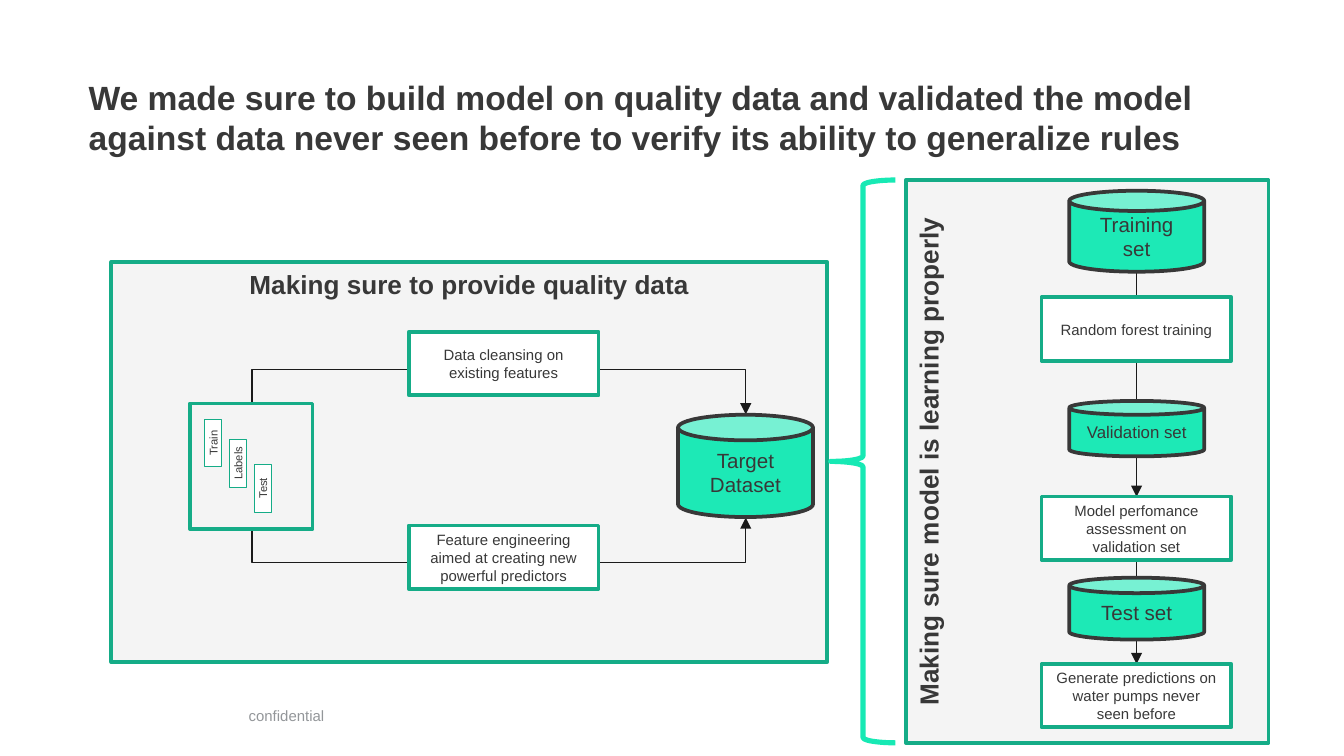
"""Build a slide on data quality and model validation for the water pump model."""
from lxml import etree
from pptx import Presentation
from pptx.dml.color import RGBColor
from pptx.enum.shapes import MSO_CONNECTOR as CONN, MSO_SHAPE as SHAPE
from pptx.enum.text import MSO_ANCHOR as ANCHOR, MSO_AUTO_SIZE as AUTO, PP_ALIGN as ALIGN
from pptx.oxml.ns import qn
from pptx.util import Pt

DARK = RGBColor(0x38, 0x38, 0x38)
GREEN = RGBColor(0x15, 0xAC, 0x87)
MINT = RGBColor(0x1D, 0xE9, 0xB6)
BRACE = RGBColor(0x17, 0xE9, 0xB4)
PANEL = RGBColor(0xF4, 0xF4, 0xF4)
WHITE = RGBColor(0xFF, 0xFF, 0xFF)
INK = RGBColor(0x1A, 0x1A, 0x1A)
GREY = RGBColor(0x93, 0x96, 0x99)


def add_box(kind, x, y, w, h, text="", size=8, fill=WHITE, line=GREEN, weight=2):
    sp = s.shapes.add_shape(kind, Pt(x), Pt(y), Pt(w), Pt(h))
    sp.shadow.inherit = False
    if fill is None:
        sp.fill.background()
    else:
        sp.fill.solid()
        sp.fill.fore_color.rgb = fill
    sp.line.color.rgb = line
    sp.line.width = Pt(weight)
    tf = sp.text_frame
    tf.text = text
    tf.word_wrap = True
    tf.vertical_anchor = ANCHOR.MIDDLE
    for p in tf.paragraphs:
        p.alignment = ALIGN.CENTER
        for r in p.runs:
            r.font.size, r.font.name, r.font.color.rgb = Pt(size), "Arial", DARK
    return sp


def add_arrow(kind, x1, y1, x2, y2):
    cx = s.shapes.add_connector(kind, Pt(x1), Pt(y1), Pt(x2), Pt(y2))
    cx.line.color.rgb = INK
    cx.line.width = Pt(0.75)
    etree.SubElement(cx.line._get_or_add_ln(), qn("a:tailEnd"), type="triangle")
    etree.SubElement(cx._element.spPr, qn("a:effectLst"))
    return cx


prs = Presentation()
prs.slide_width, prs.slide_height = Pt(720), Pt(405)
s = prs.slides.add_slide(prs.slide_layouts[5])

title = s.shapes.title
title.left, title.top, title.width, title.height = Pt(47.5), Pt(41.5), Pt(625), Pt(28)
title.text_frame.text = (
    "We made sure to build model on quality data and validated the model "
    "against data never seen before to verify its ability to generalize rules"
)
footer = s.shapes.add_textbox(Pt(133.2), Pt(378.7), Pt(141), Pt(17.3))
footer.text_frame.text = "confidential"
for sp, size, color, bold in ((title, 18, DARK, True), (footer, 8, GREY, False)):
    tf = sp.text_frame
    tf.word_wrap = True
    tf.auto_size = AUTO.NONE
    tf.vertical_anchor = ANCHOR.TOP
    tf.margin_left = tf.margin_right = tf.margin_top = tf.margin_bottom = 0
    p = tf.paragraphs[0]
    p.alignment = ALIGN.LEFT
    f = p.runs[0].font
    f.size, f.name, f.bold, f.color.rgb = Pt(size), "Arial", bold, color
title.text_frame.paragraphs[0].line_spacing = Pt(21.5)

learning = add_box(SHAPE.RECTANGLE, 485.3, 96.5, 194.3, 301.5,
                   "Making sure model is learning properly", 14, PANEL)
quality = add_box(SHAPE.RECTANGLE, 59.6, 140.4, 383.6, 214.3,
                  "Making sure to provide quality data", 14, PANEL)
for sp in (learning, quality):
    sp.text_frame.vertical_anchor = ANCHOR.TOP
    sp.text_frame.paragraphs[0].runs[0].font.bold = True
learning.text_frame._txBody.bodyPr.set("vert", "vert270")
add_box(SHAPE.LEFT_BRACE, 445, 96.5, 34.6, 301.5, fill=None, line=BRACE, weight=2.75)

for y1, y2 in ((146.2, 266.2), (300.2, 355.7)):
    add_arrow(CONN.STRAIGHT, 608.9, y1, 608.9, y2)

for x1, y1, x2, y2, rot in ((270.2, 86.7, 264.2, 351.3, 270),
                            (270.2, 412.6, 264.2, 148, 90)):
    cx = add_arrow(CONN.ELBOW, x1, y1, x2, y2)
    cx._element.spPr.find(qn("a:xfrm")).set("rot", str(rot * 60000))
    av = cx._element.spPr.find(qn("a:prstGeom")).get_or_add_avLst()
    etree.SubElement(av, qn("a:gd"), name="adj1", fmla="val -300000")

for x, y, text in (
    (558, 159.3, "Random forest training"),
    (558, 266, "Model perfomance assessment on validation set"),
    (558, 355.7, "Generate predictions on water pumps never seen before"),
    (219, 177.8, "Data cleansing on existing features"),
    (219, 281.5, "Feature engineering aimed at creating new powerful predictors"),
):
    add_box(SHAPE.RECTANGLE, x, y, 101.7, 34, text)

for x, y, h, text, size in (
    (572.8, 102.2, 43.4, "Training\nset", 11),
    (572.8, 214.8, 29.7, "Validation set", 9),
    (572.8, 309.5, 33.2, "Test set", 11),
    (363.2, 222.2, 54.8, "Target Dataset", 11),
):
    add_box(SHAPE.CAN, x, y, 72.3, h, text, size, MINT, DARK)

for x, y, text in ((101.5, 232.7, "Train"), (114.8, 243.6, "Labels"), (128, 257, "Test")):
    sp = add_box(SHAPE.RECTANGLE, x, y, 25.4, 9, text, 6, weight=0.25)
    sp.rotation = 270
    tf = sp.text_frame
    tf.margin_left = tf.margin_right = tf.margin_top = tf.margin_bottom = 0
add_box(SHAPE.RECTANGLE, 101.7, 216.2, 65.8, 67.2, fill=None)

prs.save("out.pptx")
